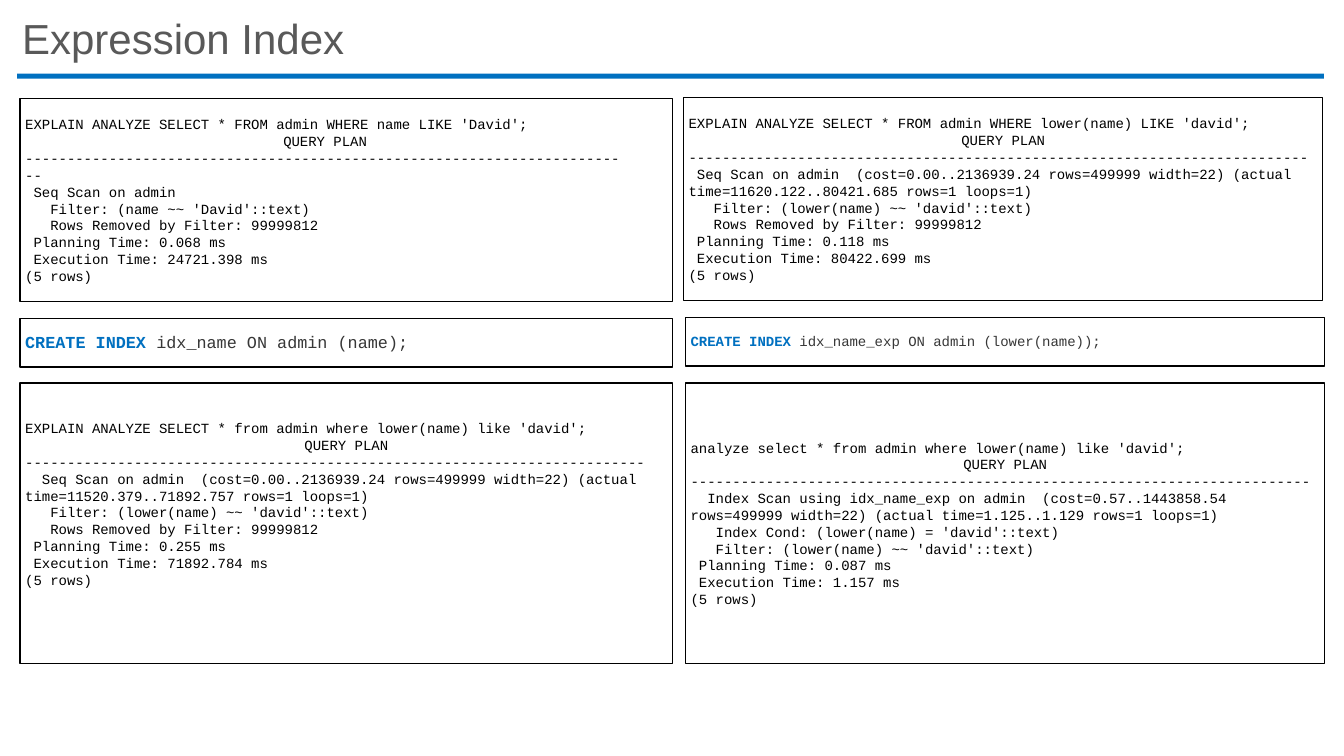
from dataclasses import dataclass

import pptx
import pptx.dml.color
import pptx.enum.shapes
import pptx.enum.text
import pptx.util

Inches = pptx.util.Inches
Pt = pptx.util.Pt
RGBColor = pptx.dml.color.RGBColor
PP_ALIGN = pptx.enum.text.PP_ALIGN

BLUE = RGBColor(0x00, 0x70, 0xC0)
BLACK = RGBColor(0x00, 0x00, 0x00)
TITLE_GRAY = RGBColor(0x59, 0x59, 0x59)
CODE_GRAY = RGBColor(0x37, 0x37, 0x37)
CODE_FONT = "Courier New"
INSET = 0.05


@dataclass
class Box:
    left: float
    top: float
    width: float
    height: float


@dataclass
class IndexStatement:
    box: Box
    target: str
    size: int


@dataclass
class QueryPlan:
    box: Box
    query: str
    scan: str
    details: list[str]
    planning: str
    execution: str
    dashes: int = 74
    heading_right: float = 0  # right margin of the QUERY PLAN heading
    bottom: float = INSET


LEFT, LEFT_W = 0.2, 6.47
RIGHT, RIGHT_W = 6.8, 6.34
REMOVED = "   Rows Removed by Filter: 99999812"
LOWER_FILTER = "   Filter: (lower(name) ~~ 'david'::text)"

STATEMENTS = [
    IndexStatement(Box(LEFT, 3.16, LEFT_W, 0.48), "idx_name ON admin (name);", 12),
    IndexStatement(Box(RIGHT, 3.15, RIGHT_W, 0.48),
                   "idx_name_exp ON admin (lower(name));", 10),
]

PLANS = [
    QueryPlan(
        Box(LEFT, 0.98, LEFT_W, 2.01),
        "EXPLAIN ANALYZE SELECT * FROM admin WHERE name LIKE 'David';",
        " Seq Scan on admin",
        ["   Filter: (name ~~ 'David'::text)", REMOVED],
        "0.068", "24721.398", dashes=73, heading_right=0.42),
    QueryPlan(
        Box(LEFT, 3.8, LEFT_W, 2.78),
        "EXPLAIN ANALYZE SELECT * from admin where lower(name) like 'david';",
        "  Seq Scan on admin  (cost=0.00..2136939.24 rows=499999 width=22) "
        "(actual time=11520.379..71892.757 rows=1 loops=1)",
        [LOWER_FILTER, REMOVED],
        "0.255", "71892.784", bottom=0.43),
    QueryPlan(
        Box(RIGHT, 3.8, RIGHT_W, 2.78),
        "analyze select * from admin where lower(name) like 'david';",
        "  Index Scan using idx_name_exp on admin  (cost=0.57..1443858.54 "
        "rows=499999 width=22) (actual time=1.125..1.129 rows=1 loops=1)",
        ["   Index Cond: (lower(name) = 'david'::text)", LOWER_FILTER],
        "0.087", "1.157"),
    QueryPlan(
        Box(6.78, 0.97, RIGHT_W, 2.01),
        "EXPLAIN ANALYZE SELECT * FROM admin WHERE lower(name) LIKE 'david';",
        " Seq Scan on admin  (cost=0.00..2136939.24 rows=499999 width=22) "
        "(actual time=11620.122..80421.685 rows=1 loops=1)",
        [LOWER_FILTER, REMOVED],
        "0.118", "80422.699"),
]


def format_run(r, font: str, size: int, color: RGBColor, bold: bool = False) -> None:
    r.font.name = font
    r.font.size = Pt(size)
    r.font.color.rgb = color
    r.font.bold = bold


def setup_frame(tf, bottom: float = INSET) -> None:
    tf.word_wrap = True
    tf.vertical_anchor = pptx.enum.text.MSO_ANCHOR.MIDDLE
    tf.margin_left = tf.margin_right = tf.margin_top = Inches(INSET)
    tf.margin_bottom = Inches(bottom)


def add_rectangle(s, box: Box):
    sp = s.shapes.add_shape(
        pptx.enum.shapes.MSO_SHAPE.RECTANGLE, Inches(box.left), Inches(box.top),
        Inches(box.width), Inches(box.height))
    sp.shadow.inherit = False
    return sp


def add_code_box(s, box: Box, bottom: float = INSET):
    sp = add_rectangle(s, box)
    sp.fill.background()
    sp.line.color.rgb = BLACK
    sp.line.width = Pt(1)
    setup_frame(sp.text_frame, bottom)
    return sp.text_frame


def add_statement(s, statement: IndexStatement) -> None:
    p = add_code_box(s, statement.box).paragraphs[0]
    p.alignment = PP_ALIGN.LEFT
    p.line_spacing = 0.9
    for text, color, bold in (("CREATE INDEX ", BLUE, True),
                              (statement.target, CODE_GRAY, False)):
        r = p.add_run()
        r.text = text
        format_run(r, CODE_FONT, statement.size, color, bold)


def add_plan(s, plan: QueryPlan) -> None:
    tf = add_code_box(s, plan.box, plan.bottom)
    tf.text = "\n".join([
        plan.query, "QUERY PLAN", "-" * plan.dashes, plan.scan, *plan.details,
        f" Planning Time: {plan.planning} ms",
        f" Execution Time: {plan.execution} ms", "(5 rows)"])
    for p in tf.paragraphs:
        p.alignment = PP_ALIGN.LEFT
        format_run(p.runs[0], CODE_FONT, 10, BLACK)
    heading = tf.paragraphs[1]
    heading.alignment = PP_ALIGN.CENTER
    if plan.heading_right:
        heading._p.get_or_add_pPr().set("marR", str(Inches(plan.heading_right)))


def add_title(s, text: str) -> None:
    rule = add_rectangle(s, Box(0.17, 0.73, 12.96, 0.05))
    rule.fill.solid()
    rule.fill.fore_color.rgb = BLUE
    rule.line.fill.background()
    tf = s.shapes.add_textbox(
        Inches(0.17), Inches(0.15), Inches(12.96), Inches(0.52)).text_frame
    setup_frame(tf)
    tf.text = text
    p = tf.paragraphs[0]
    p.line_spacing = 0.9
    format_run(p.runs[0], "Arial", 30, TITLE_GRAY)


def main() -> None:
    prs = pptx.Presentation()
    prs.slide_width = Inches(13.33)
    prs.slide_height = Inches(7.5)
    s = prs.slides.add_slide(prs.slide_layouts[6])

    # Title and rule
    add_title(s, "Expression Index")

    # Index definitions
    for statement in STATEMENTS:
        add_statement(s, statement)

    # Query plans before and after indexing
    for plan in PLANS:
        add_plan(s, plan)

    prs.save("out.pptx")


if __name__ == "__main__":
    main()
